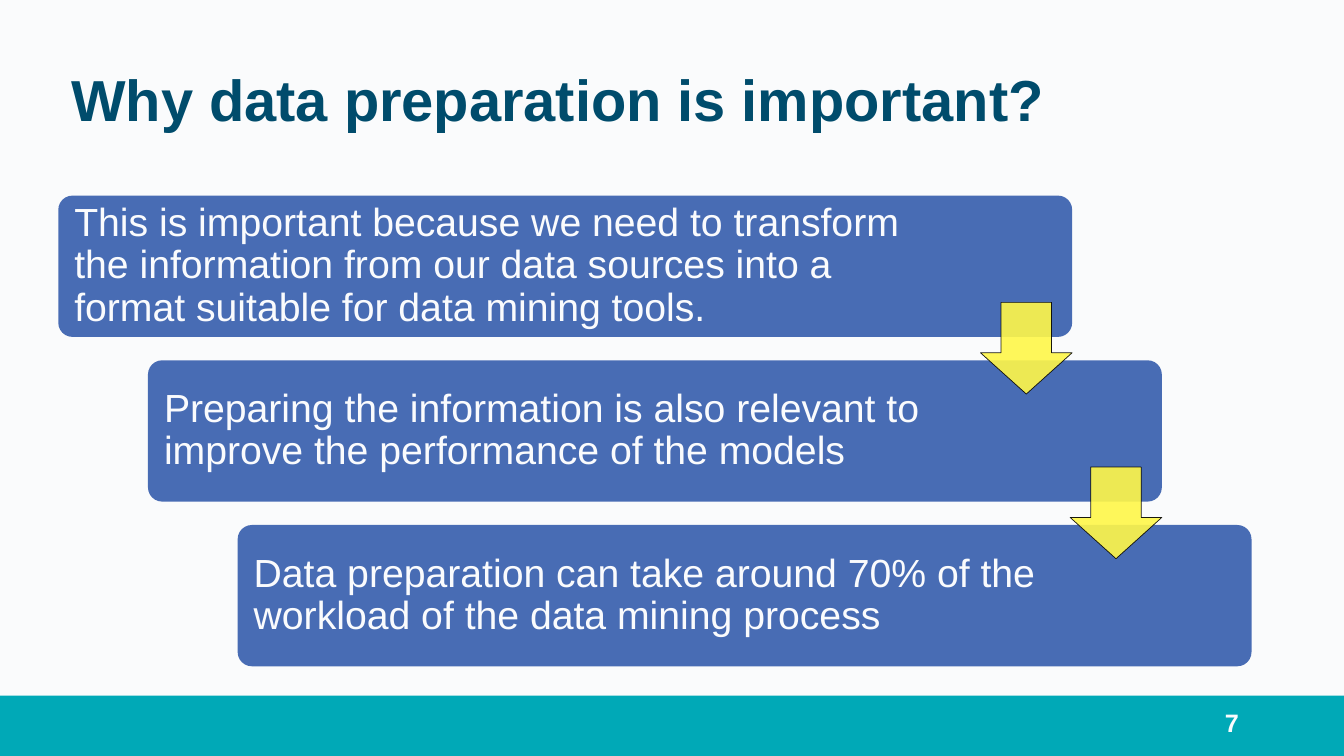
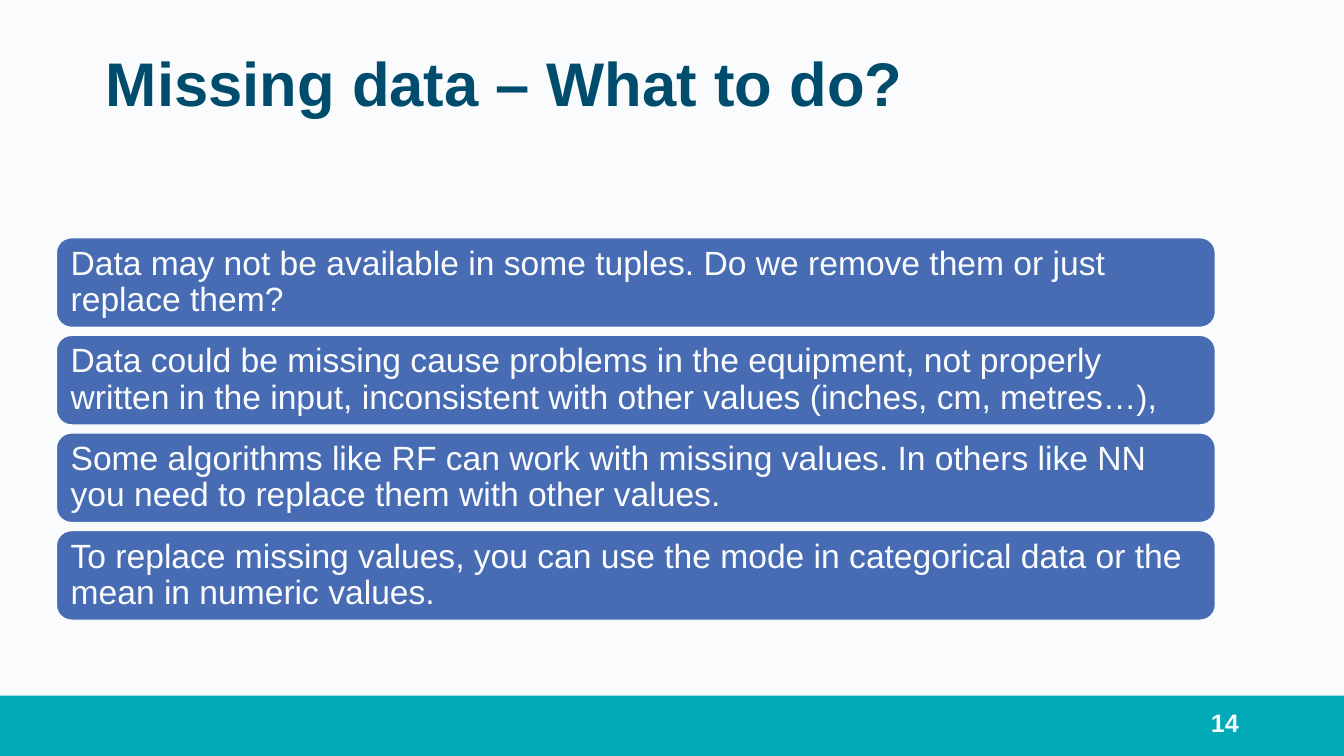
import dataclasses

import lxml.etree
import pptx
import pptx.dml.color
import pptx.enum.shapes
import pptx.enum.text
import pptx.oxml.ns
import pptx.util

Cm = pptx.util.Cm
Pt = pptx.util.Pt
SHAPE = pptx.enum.shapes.MSO_SHAPE
ANCHOR = pptx.enum.text.MSO_ANCHOR
ALIGN = pptx.enum.text.PP_ALIGN


@dataclasses.dataclass(frozen=True)
class Theme:
    # Colours
    background: str = "FAFBFC"
    band: str = "00A9B7"
    heading: str = "004C6C"
    card: str = "486CB4"
    light: str = "FAFBFD"
    arrow: str = "FFF749"
    outline: str = "000000"
    # Type
    font: str = "Arial"
    page_size: float = 18
    line_spacing: float = 0.9


def rgb(value):
    return pptx.dml.color.RGBColor.from_string(value)


def apply(target, formats):
    for name, value in formats.items():
        setattr(target, name, value)


class Deck:
    WIDTH, HEIGHT = 33.87, 19.05

    def __init__(self, theme):
        self.theme = theme
        self.presentation = pptx.Presentation()
        apply(self.presentation, {"slide_width": Cm(self.WIDTH),
                                  "slide_height": Cm(self.HEIGHT)})
        self.slide = None

    def start_slide(self, page):
        """Open a slide with its background, bottom band and page number."""
        self.slide = self.presentation.slides.add_slide(
            self.presentation.slide_layouts[6])
        fill = self.slide.background.fill
        fill.solid()
        fill.fore_color.rgb = rgb(self.theme.background)
        self.shape(SHAPE.RECTANGLE, (0, 17.53, self.WIDTH, 1.52), self.theme.band)
        number = self.slide.shapes.add_textbox(*map(Cm, (23.93, 17.75, 7.62, 1.02)))
        self.set_text(number, str(page), self.theme.page_size, self.theme.light,
                      (0.33, 0.18, 0.33, 0.18), bold=True, align=ALIGN.RIGHT)

    def title(self, text, left, top, size, anchor, inset):
        box = self.slide.shapes.add_textbox(*map(Cm, (left, top, 29.21, 3.68)))
        self.set_text(box, text, size, self.theme.heading,
                      (0.33, inset, 0.33, inset), bold=True, anchor=anchor)

    def shape(self, kind, place, color, line=None, line_width=1):
        shape = self.slide.shapes.add_shape(kind, *map(Cm, place))
        shape.shadow.inherit = False
        shape.fill.solid()
        shape.fill.fore_color.rgb = rgb(color)
        if line:
            shape.line.color.rgb = rgb(line)
            shape.line.width = Pt(line_width)
        else:
            shape.line.fill.background()
        return shape

    def card(self, text, place, size, insets, corner, line=None):
        card = self.shape(SHAPE.ROUNDED_RECTANGLE, place, self.theme.card, line)
        card.adjustments[0] = corner
        self.set_text(card, text, size, self.theme.light, insets)

    def down_arrow(self, left, top, side):
        arrow = self.shape(SHAPE.DOWN_ARROW, (left, top, side, side),
                           self.theme.arrow, self.theme.outline, 0.5)
        arrow.adjustments[0], arrow.adjustments[1] = 0.55, 0.45
        # Fill and outline are 90% opaque
        qn = pptx.oxml.ns.qn
        for color in list(arrow._element.spPr.iter(qn("a:srgbClr"))):
            lxml.etree.SubElement(color, qn("a:alpha"), val="90000")

    def set_text(self, shape, text, size, color, insets, bold=False,
                 align=ALIGN.LEFT, anchor=ANCHOR.MIDDLE):
        frame = shape.text_frame
        left, top, right, bottom = map(Cm, insets)
        apply(frame, {"word_wrap": True, "vertical_anchor": anchor,
                      "margin_left": left, "margin_top": top,
                      "margin_right": right, "margin_bottom": bottom})
        paragraph = frame.paragraphs[0]
        paragraph.text = text
        apply(paragraph, {"alignment": align,
                          "line_spacing": self.theme.line_spacing})
        apply(paragraph.font, {"name": self.theme.font, "size": Pt(size),
                               "bold": bold})
        paragraph.font.color.rgb = rgb(color)


REASONS = [
    "This is important because we need to transform the information from our "
    "data sources into a format suitable for data mining tools.",
    "Preparing the information is also relevant to improve the performance of "
    "the models",
    "Data preparation can take around 70% of the workload of the data mining "
    "process",
]

MISSING_DATA_ADVICE = [
    "Data may not be available in some tuples. Do we remove them or just "
    "replace them?",
    "Data could be missing cause problems in the equipment, not properly "
    "written in the input, inconsistent with other values (inches, cm, metres…),",
    "Some algorithms like RF can work with missing values. In others like NN "
    "you need to replace them with other values.",
    "To replace missing values, you can use the mode in categorical data or "
    "the mean in numeric values.",
]


def add_importance(deck):
    deck.start_slide(7)
    deck.title("Why data preparation is important?", 1.47, 0.76, 41.3,
               ANCHOR.MIDDLE, 0.18)
    # Staircase of reasons
    width, height, side = 25.55, 3.56, 2.31
    steps = [(1.47 + 2.26 * i, 4.93 + 4.15 * i) for i in range(len(REASONS))]
    for reason, (left, top) in zip(REASONS, steps):
        deck.card(reason, (left, top, width, height), 28,
                  (0.3, 0.1, 3.96, 0.1), corner=0.1)
    # Arrows flush with the right edge of each step but the last
    for left, top in steps[:-1]:
        deck.down_arrow(left + width - side, top + 2.69, side)


def add_missing_data(deck):
    deck.start_slide(14)
    deck.title("Missing data – What to do?", 2.34, 1.02, 44, ANCHOR.TOP, 0.33)
    # Stack of advice
    for i, advice in enumerate(MISSING_DATA_ADVICE):
        deck.card(advice, (1.42, 5.99 + 2.46 * i, 29.21, 2.26), 24,
                  (0.25, 0.1, 0.25, 0.1), corner=0.17, line=deck.theme.light)


def main():
    deck = Deck(Theme())
    add_importance(deck)
    add_missing_data(deck)
    deck.presentation.save("out.pptx")


if __name__ == "__main__":
    main()
